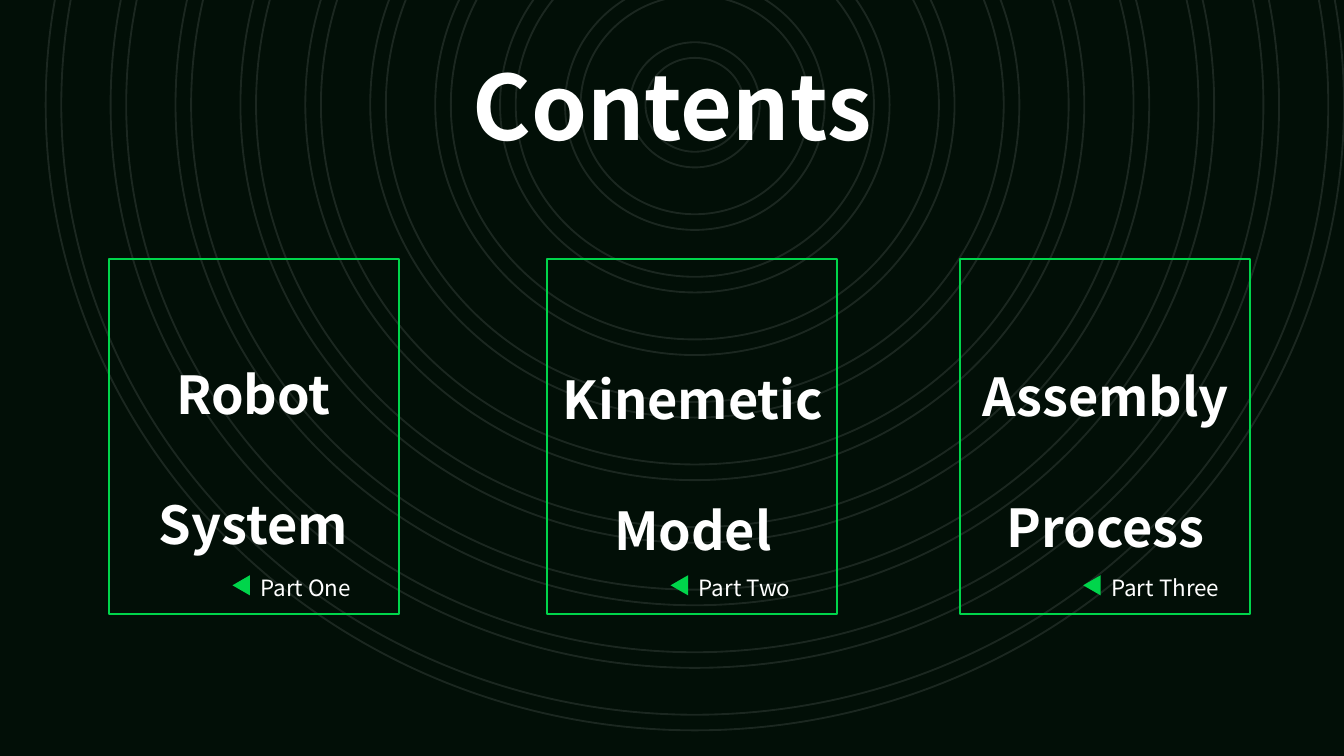
import pptx
import pptx.util
import pptx.dml.color
import pptx.enum.shapes
import pptx.enum.text
import pptx.oxml
import pptx.oxml.ns

Inches = pptx.util.Inches
Pt = pptx.util.Pt
RGBColor = pptx.dml.color.RGBColor
Shape = pptx.enum.shapes.MSO_SHAPE
Align = pptx.enum.text.PP_ALIGN

DARK = RGBColor(0x02, 0x0F, 0x07)
GREEN = RGBColor(0x00, 0xD5, 0x4B)
WHITE = RGBColor(0xFF, 0xFF, 0xFF)
FONT = "Noto Sans CJK SC"

# A 16:9 slide
deck = pptx.Presentation()
deck.slide_width = Inches(10)
deck.slide_height = Inches(10) * 9 // 16
slide = deck.slides.add_slide(deck.slide_layouts[6])
slide.background.fill.solid()
slide.background.fill.fore_color.rgb = DARK


def add_text(box, lines, size, align, bold=False, space=None, wrap=True):
    frame = slide.shapes.add_textbox(*map(Inches, box)).text_frame
    frame.word_wrap = wrap
    frame.auto_size = pptx.enum.text.MSO_AUTO_SIZE.SHAPE_TO_FIT_TEXT
    for i, line in enumerate(lines):
        para = frame.add_paragraph() if i else frame.paragraphs[0]
        para.text = line
        para.alignment = align
        para.line_spacing = space
        para.font.name = FONT
        para.font.size = Pt(size)
        para.font.bold = bold
        para.font.color.rgb = WHITE


def add_shape(kind, box, line=None, fill=None):
    shape = slide.shapes.add_shape(kind, *map(Inches, box))
    shape.shadow.inherit = False
    if fill is None:
        shape.fill.background()
    else:
        shape.fill.solid()
        shape.fill.fore_color.rgb = fill
    if line is None:
        shape.line.fill.background()
    else:
        shape.line.color.rgb = line
        shape.line.width = Pt(1)
    return shape


# Faint concentric rings, largest at the back
MID_X, MID_Y = 5.17, 0.78
for n in range(10, 0, -1):
    wide, high = 9.66 * n / 10, 9.31 * n / 10
    ring = add_shape(Shape.DONUT, (MID_X - wide / 2, MID_Y - high / 2, wide, high), line=WHITE)
    ring.adjustments[0] = 0.125 / n
    tint = ring.line._ln.find(".//" + pptx.oxml.ns.qn("a:srgbClr"))
    tint.append(pptx.oxml.parse_xml(
        f'<a:alpha {pptx.oxml.ns.nsdecls("a")} val="10000"/>'))

# Title
add_text((3.39, 0.33, 3.22, 0.91), ["Contents"], 48, Align.CENTER, bold=True, wrap=False)

# Cards: left edge, heading box (left, top, width), heading, part label
cards = [
    (0.81, (0.77, 2.14, 2.23), ["Robot", "System"], "Part One"),
    (4.07, (2.55, 2.18, 5.21), ["Kinemetic", "Model"], "Part Two"),
    (7.14, (6.84, 2.16, 2.77), ["Assembly", "Process"], "Part Three"),
]
for left, place, words, part in cards:
    add_shape(Shape.RECTANGLE, (left, 1.93, 2.16, 2.64), line=GREEN)
    add_text((*place, 2.06), words, 28, Align.CENTER, bold=True, space=Pt(70))
    add_text((left + 1.03, 4.22, 1.12, 0.3), [part], 12, Align.JUSTIFY)
    arrow = add_shape(Shape.ISOSCELES_TRIANGLE, (left + 0.91, 4.29, 0.15, 0.13), fill=GREEN)
    arrow.rotation = 270

deck.save("out.pptx")
